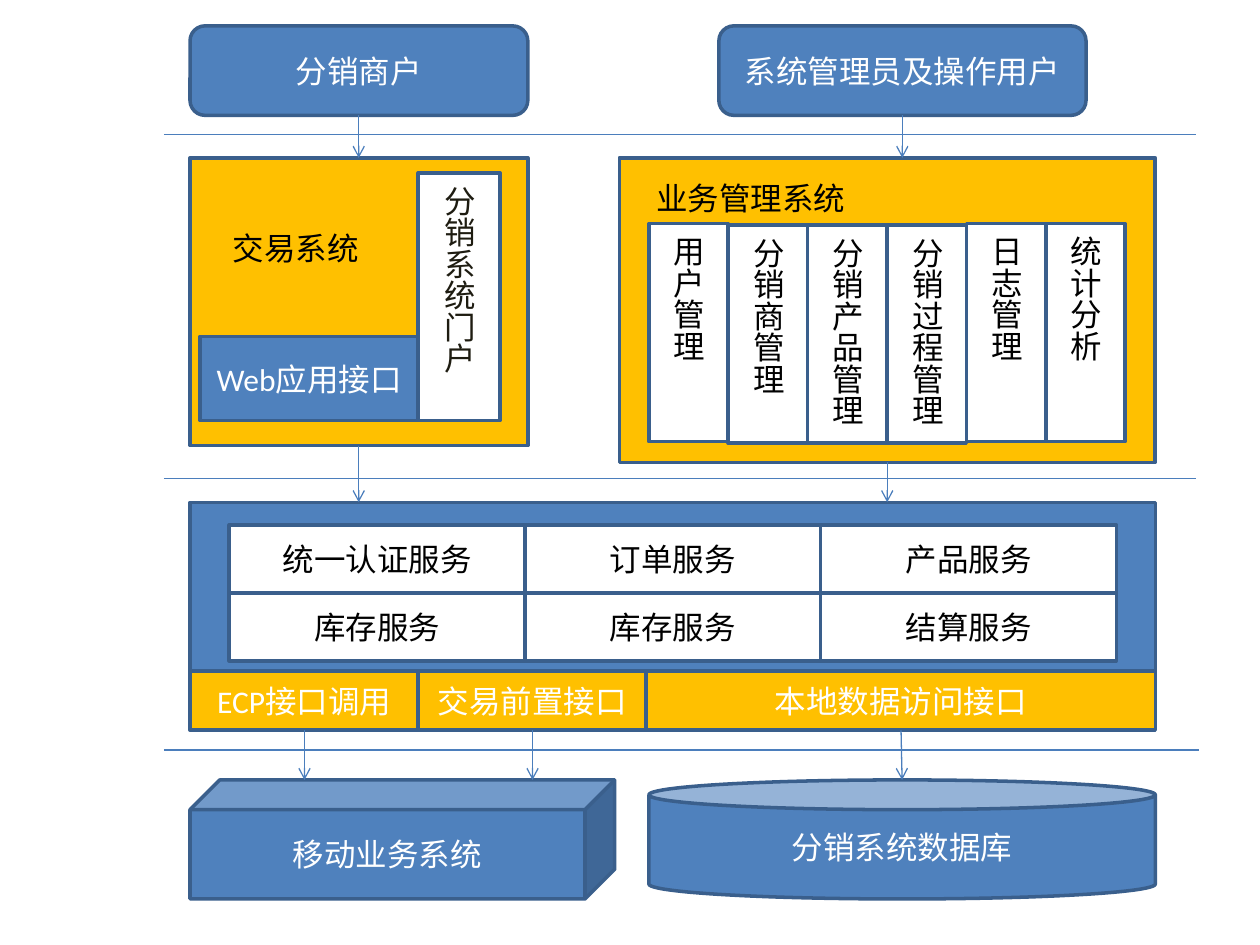
"""Build the layered architecture slide of a distribution system."""
from dataclasses import dataclass
from typing import Any

from lxml.etree import SubElement
from pptx import Presentation
from pptx.dml.color import RGBColor
from pptx.enum.shapes import MSO_CONNECTOR as Connector, MSO_SHAPE as Preset
from pptx.enum.text import MSO_ANCHOR as Anchor, MSO_AUTO_SIZE as AutoSize, PP_ALIGN as Align
from pptx.oxml.ns import qn
from pptx.slide import Slide
from pptx.util import Pt

BLUE = RGBColor(0x4F, 0x81, 0xBD)
BORDER = RGBColor(0x3A, 0x5F, 0x8C)
RULE = RGBColor(0x4B, 0x7E, 0xBC)
AMBER = RGBColor(0xFF, 0xC0, 0x00)
WHITE = RGBColor(0xFF, 0xFF, 0xFF)
BLACK = RGBColor(0x00, 0x00, 0x00)
DARK = RGBColor(0x1E, 0x1C, 0x11)

FONT_FORMAT = {"name": "Calibri", "size": Pt(18)}
BOX_FRAME = {"word_wrap": True, "vertical_anchor": Anchor.MIDDLE}
LABEL_FRAME = {"auto_size": AutoSize.SHAPE_TO_FIT_TEXT, "vertical_anchor": Anchor.TOP}

LEFT, RIGHT = 108.6, 660.2
MODULE_LEFT, MODULE_WIDTH = 370.8, 45.36
SERVICE_LEFT, SERVICE_TOP, SERVICE_WIDTH, SERVICE_HEIGHT = 131, 300, 169, 38.8
INTERFACE_TOP, INTERFACE_HEIGHT = 383.3, 34

MODULES = ("用户管理", "分销商管理", "分销产品管理", "分销过程管理", "日志管理", "统计分析")
TALL_MODULES = MODULES[1:4]
SERVICES = (
    ("统一认证服务", "订单服务", "产品服务"),
    ("库存服务", "库存服务", "结算服务"),
)
INTERFACES = (("ECP接口调用", 130.3), ("交易前置接口", 130.3), ("本地数据访问接口", 291))


@dataclass(frozen=True)
class Box:
    """A bordered shape with optional text; lengths are in points."""

    left: float
    top: float
    width: float
    height: float
    text: str = ""
    fill: RGBColor = BLUE
    color: RGBColor = WHITE
    preset: Preset = Preset.RECTANGLE
    vertical: bool = False


@dataclass(frozen=True)
class Label:
    """A free text label; lengths are in points."""

    left: float
    top: float
    width: float
    height: float
    text: str
    wrap: bool


@dataclass(frozen=True)
class Line:
    """A straight line, with or without an arrowhead; lengths are in points."""

    start_x: float
    start_y: float
    end_x: float
    end_y: float
    arrow: bool = False


def apply_format(target: Any, values: dict[str, Any]) -> None:
    """Set every named attribute on the target."""
    for name, value in values.items():
        setattr(target, name, value)


def write_text(shape: Any, text: str, color: RGBColor, align: Align) -> None:
    """Write one formatted paragraph into the shape."""
    paragraph = shape.text_frame.paragraphs[0]
    paragraph.alignment = align
    run = paragraph.add_run()
    run.text = text
    apply_format(run.font, FONT_FORMAT)
    run.font.color.rgb = color


def draw_box(slide: Slide, box: Box) -> None:
    """Draw a filled and bordered shape."""
    shape = slide.shapes.add_shape(
        box.preset, Pt(box.left), Pt(box.top), Pt(box.width), Pt(box.height)
    )
    shape.shadow.inherit = False
    shape.fill.solid()
    shape.fill.fore_color.rgb = box.fill
    shape.line.color.rgb = BORDER
    shape.line.width = Pt(2)
    if box.text:
        apply_format(shape.text_frame, BOX_FRAME)
        write_text(shape, box.text, box.color, Align.LEFT if box.vertical else Align.CENTER)
    if box.vertical:
        shape.element.txBody.find(qn("a:bodyPr")).set("vert", "eaVert")


def draw_label(slide: Slide, label: Label) -> None:
    """Draw a text box."""
    shape = slide.shapes.add_textbox(
        Pt(label.left), Pt(label.top), Pt(label.width), Pt(label.height)
    )
    apply_format(shape.text_frame, LABEL_FRAME | {"word_wrap": label.wrap})
    write_text(shape, label.text, BLACK, Align.LEFT)


def draw_line(slide: Slide, line: Line) -> None:
    """Draw a thin connector without a shadow."""
    connector = slide.shapes.add_connector(
        Connector.STRAIGHT, Pt(line.start_x), Pt(line.start_y), Pt(line.end_x), Pt(line.end_y)
    )
    connector.line.color.rgb = RULE
    connector.line.width = Pt(0.75)
    properties = connector.element.spPr
    if line.arrow:
        SubElement(properties.find(qn("a:ln")), qn("a:tailEnd"), type="arrow")
    SubElement(properties, qn("a:effectLst"))


def module_boxes() -> list[Box]:
    """Lay out the management modules side by side."""
    return [
        Box(MODULE_LEFT + index * MODULE_WIDTH, 128.7 if name in TALL_MODULES else 127.8,
            MODULE_WIDTH, 124.6, name, WHITE, BLACK, vertical=True)
        for index, name in enumerate(MODULES)
    ]


def service_boxes() -> list[Box]:
    """Lay out the services in a grid."""
    return [
        Box(SERVICE_LEFT + column * SERVICE_WIDTH, SERVICE_TOP + row * SERVICE_HEIGHT,
            SERVICE_WIDTH, SERVICE_HEIGHT, name, WHITE, BLACK)
        for row, names in enumerate(SERVICES)
        for column, name in enumerate(names)
    ]


def interface_boxes() -> list[Box]:
    """Lay out the interfaces from left to right."""
    boxes, left = [], LEFT
    for name, width in INTERFACES:
        boxes.append(Box(left, INTERFACE_TOP, width, INTERFACE_HEIGHT, name, AMBER))
        left += width
    return boxes


DIVIDERS = (
    Line(93.6, 77, 683.3, 77),
    Line(93.6, 273.6, 683.3, 273.6),
    Line(93.6, 428.6, 685.4, 428.6),
)
BOXES = (
    Box(LEFT, 14.8, 193, 51.1, "分销商户", preset=Preset.ROUNDED_RECTANGLE),
    Box(410.8, 14.8, 209.8, 51.1, "系统管理员及操作用户", preset=Preset.ROUNDED_RECTANGLE),
    Box(LEFT, 90.2, 193, 164.4, fill=AMBER),
    Box(354, 90.2, RIGHT - 354, 174.1, fill=AMBER),
    Box(239, 98.8, 46.8, 141.6, "分销系统门户", WHITE, DARK, vertical=True),
    Box(114.3, 192.2, 124.7, 48.2, "Web应用接口"),
    *module_boxes(),
    Box(LEFT, 287, RIGHT - LEFT, 96.4),
    *service_boxes(),
    *interface_boxes(),
    Box(LEFT, 445.7, 242.7, 68, "移动业务系统", preset=Preset.CUBE),
    Box(MODULE_LEFT, 445.7, RIGHT - MODULE_LEFT, 68, "分销系统数据库", preset=Preset.CAN),
)
LABELS = (
    Label(126, 127.4, 96.5, 29, "交易系统", True),
    Label(368, 98.6, 123.8, 29, "业务管理系统", False),
)
ARROWS = (
    Line(205, 66, 205, 90.2, True),
    Line(515.6, 66, 515.6, 90.2, True),
    Line(205, 254.6, 205, 287, True),
    Line(507, 264.3, 507, 287, True),
    Line(174, 417.4, 174, 445.7, True),
    Line(304.3, 417.4, 304.3, 445.7, True),
    Line(514.9, 417.4, 515.5, 445.7, True),
)


def main() -> None:
    """Build and save the presentation."""
    presentation = Presentation()
    apply_format(presentation, {"slide_width": Pt(720), "slide_height": Pt(540)})
    slide = presentation.slides.add_slide(presentation.slide_layouts[6])
    for items, draw in ((DIVIDERS, draw_line), (BOXES, draw_box),
                        (LABELS, draw_label), (ARROWS, draw_line)):
        for item in items:
            draw(slide, item)
    presentation.save("out.pptx")


if __name__ == "__main__":
    main()
